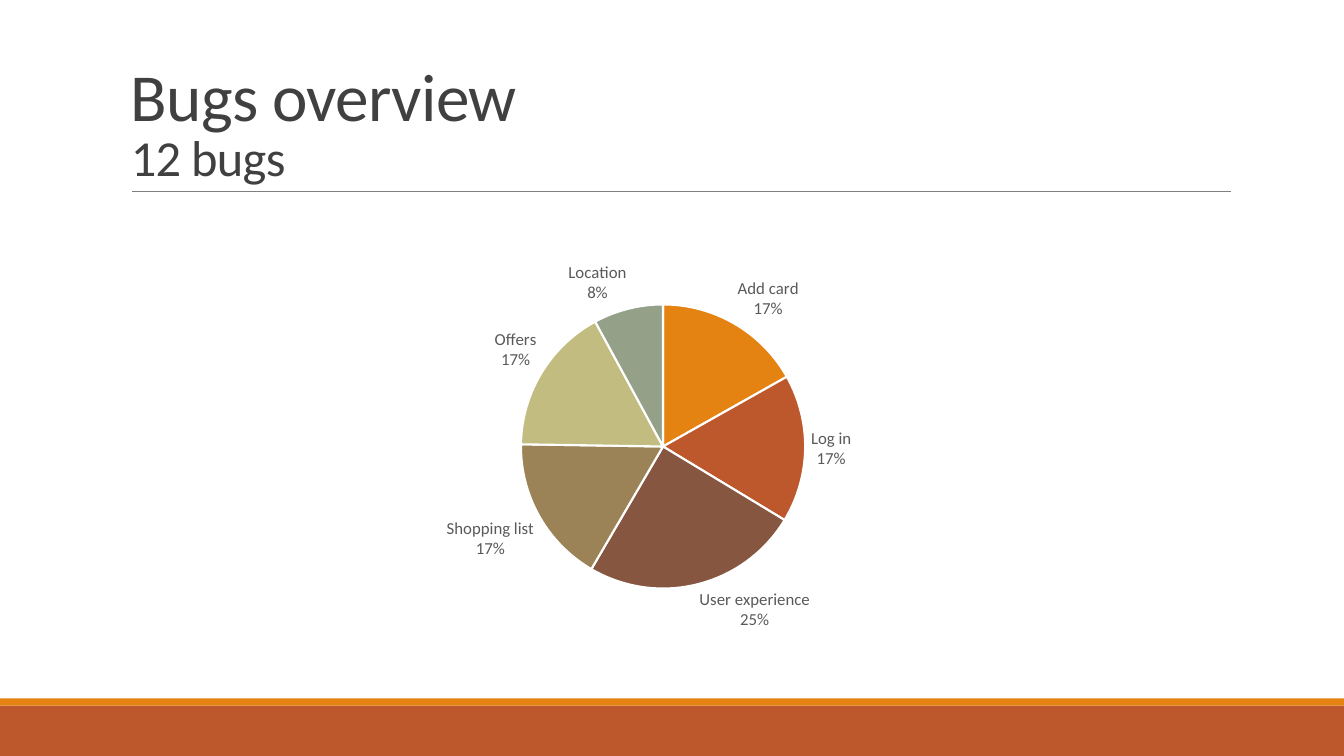
from dataclasses import dataclass

from lxml.etree import SubElement
from pptx import Presentation
from pptx.chart.data import CategoryChartData
from pptx.dml.color import RGBColor
from pptx.enum.chart import XL_CHART_TYPE as ChartType, XL_LABEL_POSITION as LabelPosition
from pptx.enum.shapes import MSO_CONNECTOR as Connector, MSO_SHAPE as Shape
from pptx.enum.text import MSO_ANCHOR as Anchor
from pptx.oxml import parse_xml
from pptx.oxml.ns import nsdecls, qn
from pptx.util import Inches, Pt


@dataclass(frozen=True)
class Theme:
    font: str = "Calibri"
    title_color: str = "404040"
    label_color: str = "595959"
    rule_color: str = "808080"
    white: str = "FFFFFF"
    slices: tuple = ("E48312", "BD582C", "865640", "9B8357", "C2BC80", "94A088")
    title_size: int = 48
    subtitle_size: int = 36
    label_size: int = 12
    chart_size: int = 10


THEME = Theme()
BUG_SHARES = {
    "Add card": 17,
    "Log in": 17,
    "User experience": 25,
    "Shopping list": 17,
    "Offers": 17,
    "Location": 8,
}


def rgb(color):
    return RGBColor.from_string(color)


def style_font(font, size, color):
    font.name = THEME.font
    font.size = Pt(size)
    font.color.rgb = rgb(color)


def add_band(slide, top, height, color):
    band = slide.shapes.add_shape(
        Shape.RECTANGLE, 0, Inches(top), Inches(13.33), Inches(height))
    band.shadow.inherit = False
    band.fill.solid()
    band.fill.fore_color.rgb = rgb(color)
    band.line.fill.background()


def add_rule(slide, left, right, top, color, width):
    rule = slide.shapes.add_connector(
        Connector.STRAIGHT, Inches(left), Inches(top), Inches(right), Inches(top))
    rule.line.color.rgb = rgb(color)
    rule.line.width = Pt(width)
    SubElement(rule._element.spPr, qn("a:effectLst"))


def add_text(slide, lines, left, top, width, height, *, color,
             line_spacing=1.0, letter_spacing=0, anchor=Anchor.TOP):
    box = slide.shapes.add_textbox(
        Inches(left), Inches(top), Inches(width), Inches(height))
    frame = box.text_frame
    frame.word_wrap = True
    frame.vertical_anchor = anchor
    paragraph = frame.paragraphs[0]
    paragraph.line_spacing = line_spacing
    for index, (text, size) in enumerate(lines):
        if index:
            paragraph.add_line_break()
        run = paragraph.add_run()
        run.text = text
        style_font(run.font, size, color)
        run._r.get_or_add_rPr().set("spc", str(int(letter_spacing * 100)))


def place_plot(chart, x, y, width, height):
    layout = parse_xml(
        f'<c:layout {nsdecls("c")}><c:manualLayout><c:layoutTarget val="inner"/>'
        '<c:xMode val="edge"/><c:yMode val="edge"/>'
        f'<c:x val="{x}"/><c:y val="{y}"/><c:w val="{width}"/><c:h val="{height}"/>'
        '</c:manualLayout></c:layout>')
    plot_area = chart._chartSpace.chart.plotArea
    for existing in plot_area.findall(qn("c:layout")):
        plot_area.remove(existing)
    plot_area.insert(0, layout)


def add_pie(slide, shares, left, top, width, height):
    data = CategoryChartData()
    data.categories = list(shares)
    data.add_series("Series 1", list(shares.values()))
    chart = slide.shapes.add_chart(
        ChartType.PIE, Inches(left), Inches(top), Inches(width), Inches(height), data).chart
    chart.has_title = False
    chart.has_legend = False
    style_font(chart.font, THEME.chart_size, THEME.label_color)
    place_plot(chart, 0.38, 0.14, 0.27, 0.72)

    plot = chart.plots[0]
    plot.vary_by_categories = True
    for index, color in enumerate(THEME.slices):
        slice_format = plot.series[0].points[index].format
        slice_format.fill.solid()
        slice_format.fill.fore_color.rgb = rgb(color)
        slice_format.line.color.rgb = rgb(THEME.white)
        slice_format.line.width = Pt(1.5)

    labels = plot.series[0].data_labels
    labels.show_value = False
    labels.show_category_name = True
    labels.show_percentage = True
    labels.number_format = "0%"
    labels.number_format_is_linked = False
    labels.position = LabelPosition.OUTSIDE_END
    style_font(labels.font, THEME.label_size, THEME.label_color)
    separator = parse_xml(f'<c:separator {nsdecls("c")}>\n</c:separator>')
    labels._element.find(qn("c:showBubbleSize")).addnext(separator)


def main():
    presentation = Presentation()
    presentation.slide_width = Inches(13.33)
    presentation.slide_height = Inches(7.5)
    slide = presentation.slides.add_slide(presentation.slide_layouts[6])

    add_band(slide, 7, 0.5, THEME.slices[1])
    add_band(slide, 6.93, 0.07, THEME.slices[0])
    add_rule(slide, 1.31, 12.21, 1.9, THEME.rule_color, 0.5)
    add_text(slide,
             [("Bugs overview", THEME.title_size), ("12 bugs", THEME.subtitle_size)],
             1.2, 0.31, 11, 1.59, color=THEME.title_color,
             line_spacing=0.85, letter_spacing=-0.5, anchor=Anchor.BOTTOM)
    add_pie(slide, BUG_SHARES, 1.2, 2.44, 10.44, 3.98)

    presentation.save("out.pptx")


if __name__ == "__main__":
    main()
